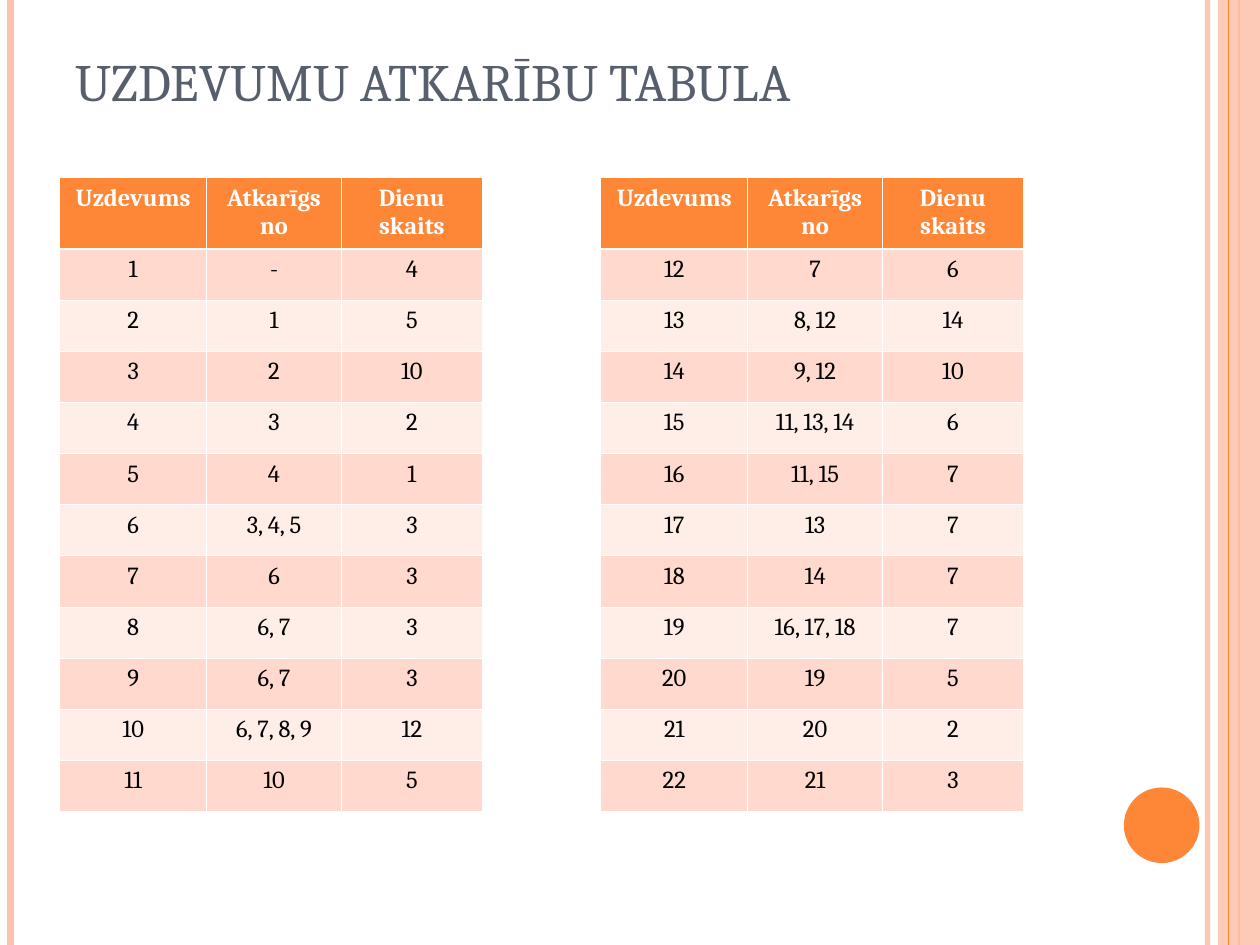
from lxml import etree
from pptx import Presentation
from pptx.dml.color import RGBColor
from pptx.enum.shapes import MSO_CONNECTOR, MSO_SHAPE
from pptx.enum.text import MSO_ANCHOR, PP_ALIGN
from pptx.oxml.ns import qn
from pptx.util import Pt

STRAIGHT = MSO_CONNECTOR.STRAIGHT
RECTANGLE, OVAL = MSO_SHAPE.RECTANGLE, MSO_SHAPE.OVAL
BOTTOM = MSO_ANCHOR.BOTTOM
LEFT, CENTER = PP_ALIGN.LEFT, PP_ALIGN.CENTER

# Content
TITLE = "UZDEVUMU ATKARĪBU TABULA"
HEADINGS = ("Uzdevums", "Atkarīgs no", "Dienu skaits")
TASKS = [  # (depends on, days), numbered from 1
    ("-", 4), ("1", 5), ("2", 10), ("3", 2), ("4", 1), ("3, 4, 5", 3),
    ("6", 3), ("6, 7", 3), ("6, 7", 3), ("6, 7, 8, 9", 12), ("10", 5),
    ("7", 6), ("8, 12", 14), ("9, 12", 10), ("11, 13, 14", 6), ("11, 15", 7),
    ("13", 7), ("14", 7), ("16, 17, 18", 7), ("19", 5), ("20", 2), ("21", 3),
]

THEME = {
    "font": "Cambria", "title_size": 30, "table_size": 14,
    "title": "575F6D", "accent": "FE8637", "pale": "FEC3AE",
    "bands": ("FFD9CE", "FFEDE8"), "text": "000000", "white": "FFFFFF",
    "grid": 0.45, "header_rule": 1.47,
}

# Layout, in points
SLIDE_W, SLIDE_H = 720, 540
TABLE_LEFTS, TABLE_TOP = (34.1, 343.3), 101.6
COLUMN_WIDTHS = (84, 77, 80.6)
HEADER_H, ROW_H = 40.6, 29.2
ROWS_PER_TABLE = len(TASKS) // len(TABLE_LEFTS)


def rgb(name):
    return RGBColor.from_string(THEME.get(name, name))


def set_alpha(color_parent, percent):
    color = color_parent.find(".//" + qn("a:srgbClr"))
    etree.SubElement(color, qn("a:alpha")).set("val", str(percent * 1000))


def add_rule(slide, x, color, width, alpha=100):
    rule = slide.shapes.add_connector(STRAIGHT, Pt(x), Pt(0), Pt(x), Pt(SLIDE_H))
    rule.line.color.rgb = rgb(color)
    rule.line.width = Pt(width)
    properties = rule.element.spPr
    if alpha < 100:
        set_alpha(properties, alpha)
    etree.SubElement(properties, qn("a:effectLst"))


def add_solid(slide, preset, left, top, width, height, color, alpha=100):
    solid = slide.shapes.add_shape(preset, Pt(left), Pt(top), Pt(width), Pt(height))
    solid.shadow.inherit = False
    solid.fill.solid()
    solid.fill.fore_color.rgb = rgb(color)
    solid.line.fill.background()
    if alpha < 100:
        set_alpha(solid.element.spPr, alpha)


def write(frame, text, size, color, bold=False, align=LEFT):
    paragraph = frame.paragraphs[0]
    paragraph.alignment = align
    run = paragraph.add_run()
    run.text = text
    run.font.name = THEME["font"]
    run.font.size = Pt(THEME[size])
    run.font.bold = bold
    run.font.color.rgb = rgb(color)


def set_borders(cell, top, bottom):
    grid = THEME["grid"]
    properties = cell._tc.get_or_add_tcPr()
    for side, width in (("L", grid), ("R", grid), ("T", top), ("B", bottom)):
        border = etree.SubElement(properties, qn("a:ln" + side), w=str(int(Pt(width))))
        fill = etree.SubElement(border, qn("a:solidFill"))
        etree.SubElement(fill, qn("a:srgbClr"), val=THEME["white"])


def add_task_table(slide, left, rows):
    table = slide.shapes.add_table(
        len(rows) + 1, len(HEADINGS), Pt(left), Pt(TABLE_TOP),
        Pt(sum(COLUMN_WIDTHS)), Pt(HEADER_H + ROW_H * len(rows))).table
    for column, width in zip(table.columns, COLUMN_WIDTHS):
        column.width = Pt(width)
    for r, values in enumerate([HEADINGS, *rows]):
        header = r == 0
        table.rows[r].height = Pt(HEADER_H if header else ROW_H)
        background = "accent" if header else THEME["bands"][(r - 1) % 2]
        top = THEME["header_rule" if r == 1 else "grid"]
        bottom = THEME["header_rule" if header else "grid"]
        for c, value in enumerate(values):
            cell = table.cell(r, c)
            set_borders(cell, top, bottom)
            cell.fill.solid()
            cell.fill.fore_color.rgb = rgb(background)
            write(cell.text_frame, str(value), "table_size",
                  "white" if header else "text", header, CENTER)


def main():
    prs = Presentation()
    prs.slide_width, prs.slide_height = Pt(SLIDE_W), Pt(SLIDE_H)
    slide = prs.slides.add_slide(prs.slide_layouts[6])

    # Side stripes and disc
    add_rule(slide, 690, "pale", 3, alpha=93)
    add_rule(slide, 6, "pale", 4.5)
    add_rule(slide, 708, "accent", 1.5)
    add_solid(slide, RECTANGLE, 696, 0, 24, SLIDE_H, "pale", alpha=87)
    add_rule(slide, 702, "accent", 0.75)
    add_solid(slide, OVAL, 642.24, 450, 43.2, 43.2, "accent")

    # Title
    title = slide.shapes.add_textbox(Pt(36), Pt(21.6), Pt(588), Pt(46)).text_frame
    title.word_wrap = True
    title.vertical_anchor = BOTTOM
    write(title, TITLE, "title_size", "title")

    # Task tables
    numbered = [(n, *task) for n, task in enumerate(TASKS, 1)]
    for i, left in enumerate(TABLE_LEFTS):
        start = i * ROWS_PER_TABLE
        add_task_table(slide, left, numbered[start:start + ROWS_PER_TABLE])

    prs.save("out.pptx")


if __name__ == "__main__":
    main()
